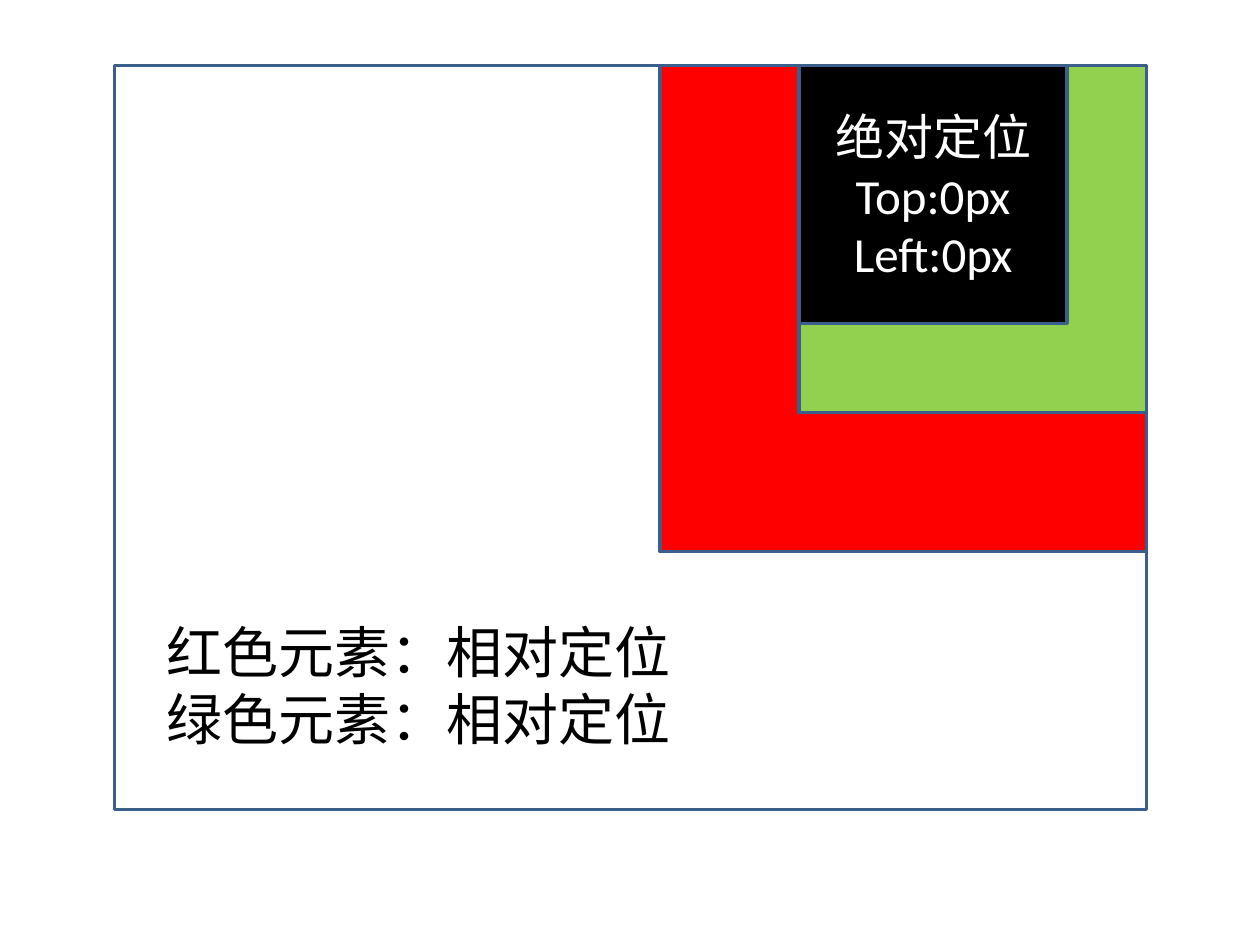
"""Build a slide of nested boxes that explains relative and absolute positioning."""
from pptx import Presentation
from pptx import util as u
from pptx.dml.color import RGBColor
from pptx.enum import shapes, text

TOP, RIGHT = 1.32, 23.11
LINE, FONT = "3A5F8C", "Calibri"
BOXES = [
    {"left": 2.31, "width": 20.8, "height": 15, "fill": None},
    {"left": RIGHT - 9.8, "width": 9.8, "height": 9.8, "fill": "FF0000"},
    {"left": RIGHT - 7, "width": 7, "height": 7, "fill": "92D050"},
    {"left": RIGHT - 7, "width": 5.4, "height": 5.2, "fill": "000000"},
]
BLACK_BOX_LINES = ["绝对定位", "Top:0px", "Left:0px"]
NOTE_LINES = ["红色元素：相对定位", "绿色元素：相对定位"]
NOTE_PLACE = (3.1, 12.32, 16.5, 3)


def color(value):
    """Turn a hex string into a colour."""
    return RGBColor.from_string(value)


def write(shape, lines, alignment, size, font_color):
    """Write one paragraph for each line of text."""
    frame = shape.text_frame
    frame.word_wrap = True
    frame.text = "\n".join(lines)
    for paragraph in frame.paragraphs:
        paragraph.alignment = alignment
        font = paragraph.runs[0].font
        for name, value in {"name": FONT, "size": u.Pt(size)}.items():
            setattr(font, name, value)
        font.color.rgb = color(font_color)


def add_box(slide, left, width, height, fill):
    """Add an outlined box that hangs from the common top edge."""
    place = map(u.Cm, (left, TOP, width, height))
    box = slide.shapes.add_shape(shapes.MSO_SHAPE.RECTANGLE, *place)
    box.shadow.inherit = False
    if fill:
        box.fill.solid()
        box.fill.fore_color.rgb = color(fill)
    else:
        box.fill.background()
    box.line.color.rgb = color(LINE)
    box.line.width = u.Pt(2)
    return box


presentation = Presentation()
presentation.slide_width, presentation.slide_height = u.Cm(25.4), u.Cm(19.05)
slide = presentation.slides.add_slide(presentation.slide_layouts[6])

boxes = [add_box(slide, **box) for box in BOXES]
black_box = boxes[-1]
black_box.text_frame.vertical_anchor = text.MSO_ANCHOR.MIDDLE
write(black_box, BLACK_BOX_LINES, text.PP_ALIGN.CENTER, 28, "FFFFFF")

note = slide.shapes.add_textbox(*map(u.Cm, NOTE_PLACE))
note.text_frame.auto_size = text.MSO_AUTO_SIZE.SHAPE_TO_FIT_TEXT
write(note, NOTE_LINES, text.PP_ALIGN.LEFT, 32, "000000")

presentation.save("out.pptx")
